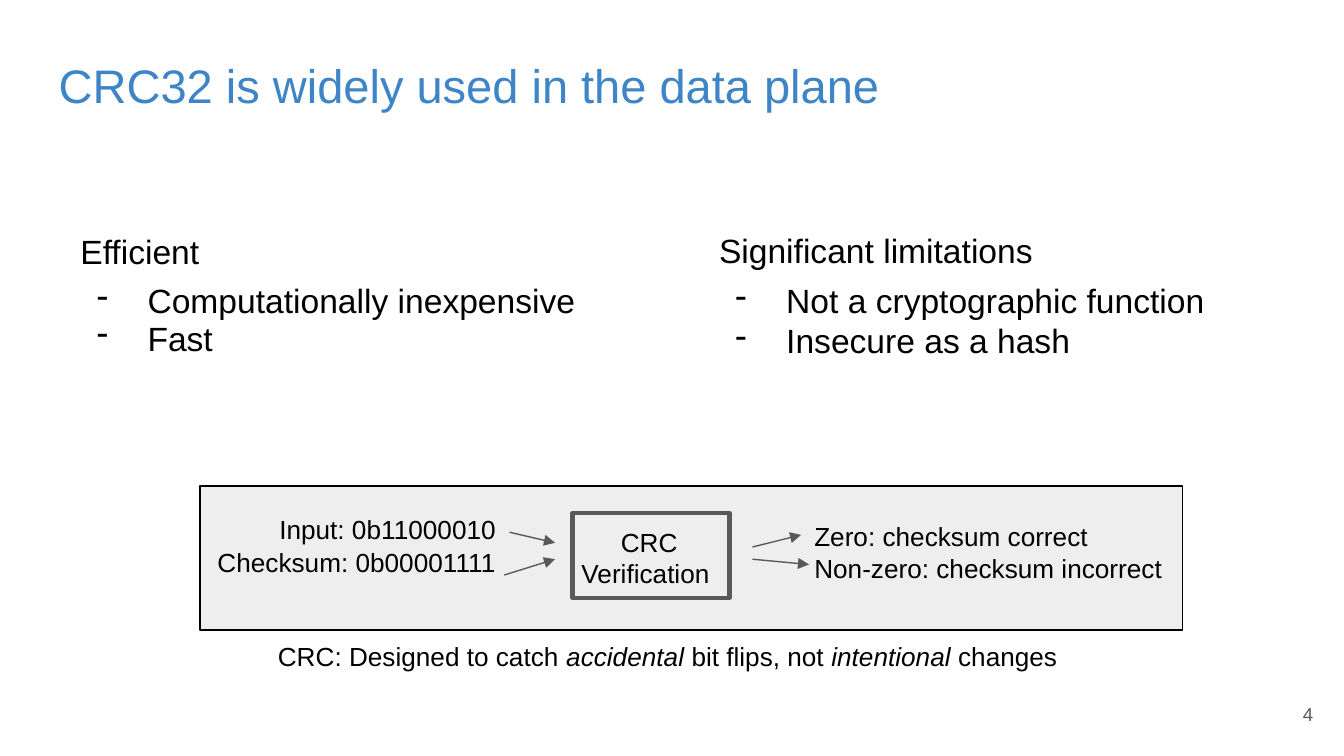
from lxml import etree
from pptx import Presentation
from pptx.dml.color import RGBColor
from pptx.enum.shapes import MSO_CONNECTOR, MSO_SHAPE
from pptx.enum.text import MSO_ANCHOR, PP_ALIGN
from pptx.oxml.ns import qn
from pptx.util import Cm, Pt

LEFT, CENTER, RIGHT = PP_ALIGN.LEFT, PP_ALIGN.CENTER, PP_ALIGN.RIGHT
TOP, MIDDLE = MSO_ANCHOR.TOP, MSO_ANCHOR.MIDDLE
RECT, STRAIGHT = MSO_SHAPE.RECTANGLE, MSO_CONNECTOR.STRAIGHT
COLORS = {"black": "000000", "blue": "3D85C6", "gray": "595959", "pale": "EEEEEE"}


def color(name):
    return RGBColor.from_string(COLORS[name])


def write(text, box, size=14, ink="black", align=LEFT, anchor=TOP, space=None, dash=False):
    """Add a text box at box, in cm; parts of text between * are italic."""
    frame = slide.shapes.add_textbox(*map(Cm, box)).text_frame
    frame.word_wrap = True
    frame.vertical_anchor = anchor
    frame.margin_left = frame.margin_right = Cm(0.25)
    frame.margin_top = frame.margin_bottom = Cm(0.25)
    para = frame.paragraphs[0]
    if dash:
        props = para._p.get_or_add_pPr()
        props.set("marL", str(Cm(1.27)))
        props.set("indent", str(Cm(-0.96)))
        tint = etree.SubElement(props, qn("a:buClr"))
        etree.SubElement(tint, qn("a:srgbClr"), val=COLORS[ink])
        etree.SubElement(props, qn("a:buChar"), char="-")
    para.alignment = align
    para.line_spacing = space
    for i, part in enumerate(text.split("*")):
        run = para.add_run()
        run.text = part
        run.font.name = "Arial"
        run.font.size = Pt(size)
        run.font.italic = i % 2 == 1
        run.font.color.rgb = color(ink)


deck = Presentation()
deck.slide_width, deck.slide_height = Cm(25.4), Cm(14.29)
slide = deck.slides.add_slide(deck.slide_layouts[6])

write("CRC32 is widely used in the data plane", (0.86, 0.81, 23.67, 1.6), size=25.2, ink="blue")

# Two columns: a heading with dashed points
columns = [
    (1.27, 4.11, "Efficient",
     [("Computationally inexpensive", 4.93, 10.49), ("Fast", 5.64, 4.19)]),
    (13.34, 4.09, "Significant limitations",
     [("Not a cryptographic function", 4.93, 10.11), ("Insecure as a hash", 5.69, 7.32)]),
]
for x, y, head, points in columns:
    write(head, (x, y, 11.5, 1.27), size=18)
    for text, top, width in points:
        write(text, (x, top, width, 1.12), size=18, space=1.15, dash=True)

# Panel and the check box inside it
for box, edge, width in [
    ((3.78, 9.19, 18.57, 2.72), "black", 0.75),
    ((10.82, 9.7, 2.97, 1.6), "gray", 2.25),
]:
    rect = slide.shapes.add_shape(RECT, *map(Cm, box))
    rect.shadow.inherit = False
    rect.fill.solid()
    rect.fill.fore_color.rgb = color("pale")
    rect.line.color.rgb = color(edge)
    rect.line.width = Pt(width)

write("Input: 0b11000010", (5.03, 9.45, 4.78, 1.12))
write("Checksum: 0b00001111", (3.86, 10.08, 6.07, 1.12))
write("CRC Verification ", (10.49, 9.7, 3.56, 1.7), align=CENTER)
write("Zero: checksum correct", (15.14, 9.58, 6.07, 1.12))
write("Non-zero: checksum incorrect", (15.14, 10.19, 7.19, 1.12))

arrows = [
    (9.63, 10.06, 10.49, 10.26),
    (9.53, 10.87, 10.49, 10.57),
    (14.22, 10.34, 15.14, 10.11),
    (14.22, 10.57, 15.29, 10.67),
]
for ends in arrows:
    arrow = slide.shapes.add_connector(STRAIGHT, *map(Cm, ends))
    arrow.line.color.rgb = color("gray")
    arrow.line.width = Pt(0.75)
    etree.SubElement(arrow.line._get_or_add_ln(), qn("a:tailEnd"), type="triangle")
    etree.SubElement(arrow._element.spPr, qn("a:effectLst"))

write("CRC: Designed to catch *accidental *bit flips, not *intentional *changes ",
      (2.64, 11.89, 20.09, 1.12), align=CENTER, space=0.95)
write("4", (23.55, 12.95, 1.52, 1.09), size=10, ink="gray", align=RIGHT, anchor=MIDDLE)

deck.save("out.pptx")
